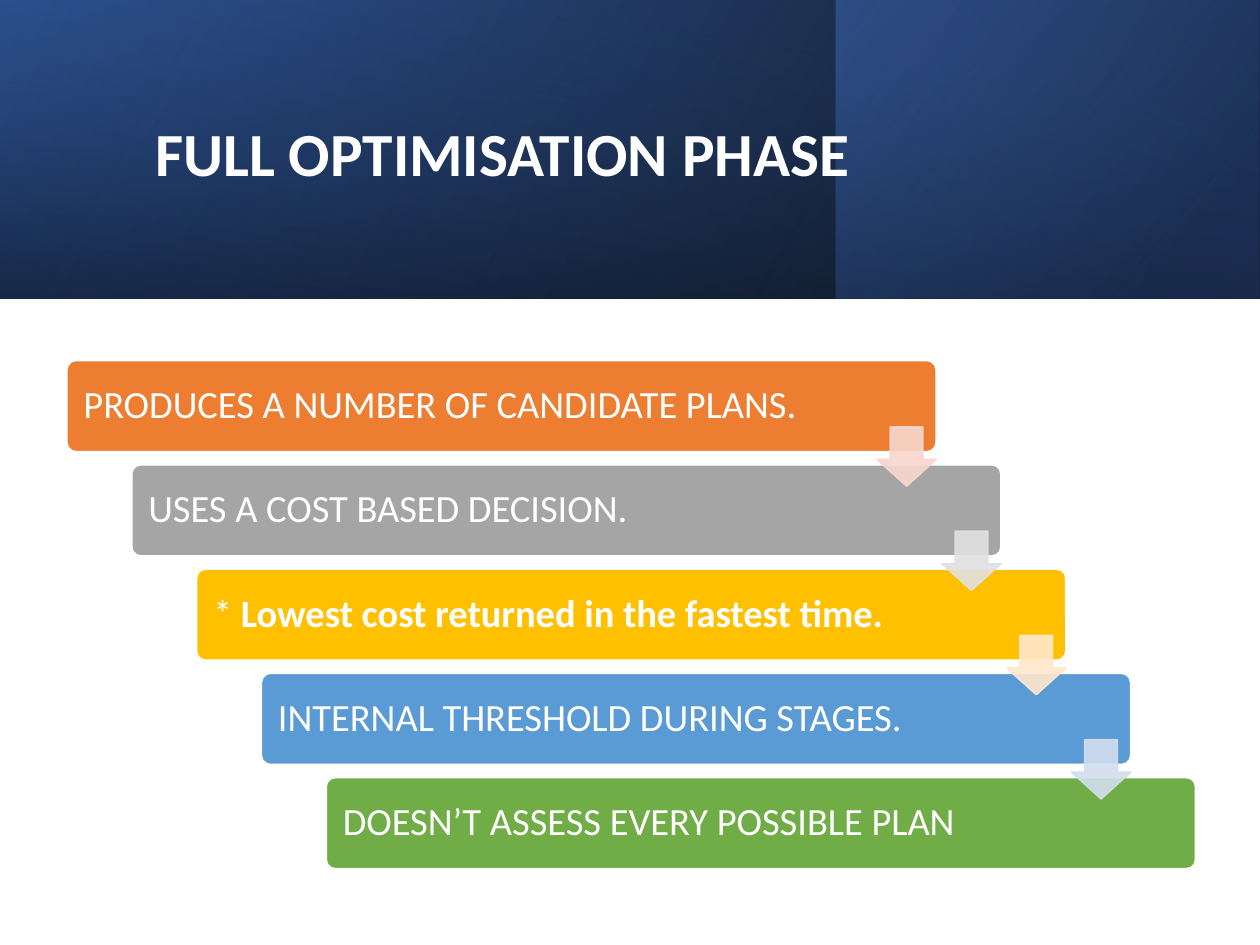
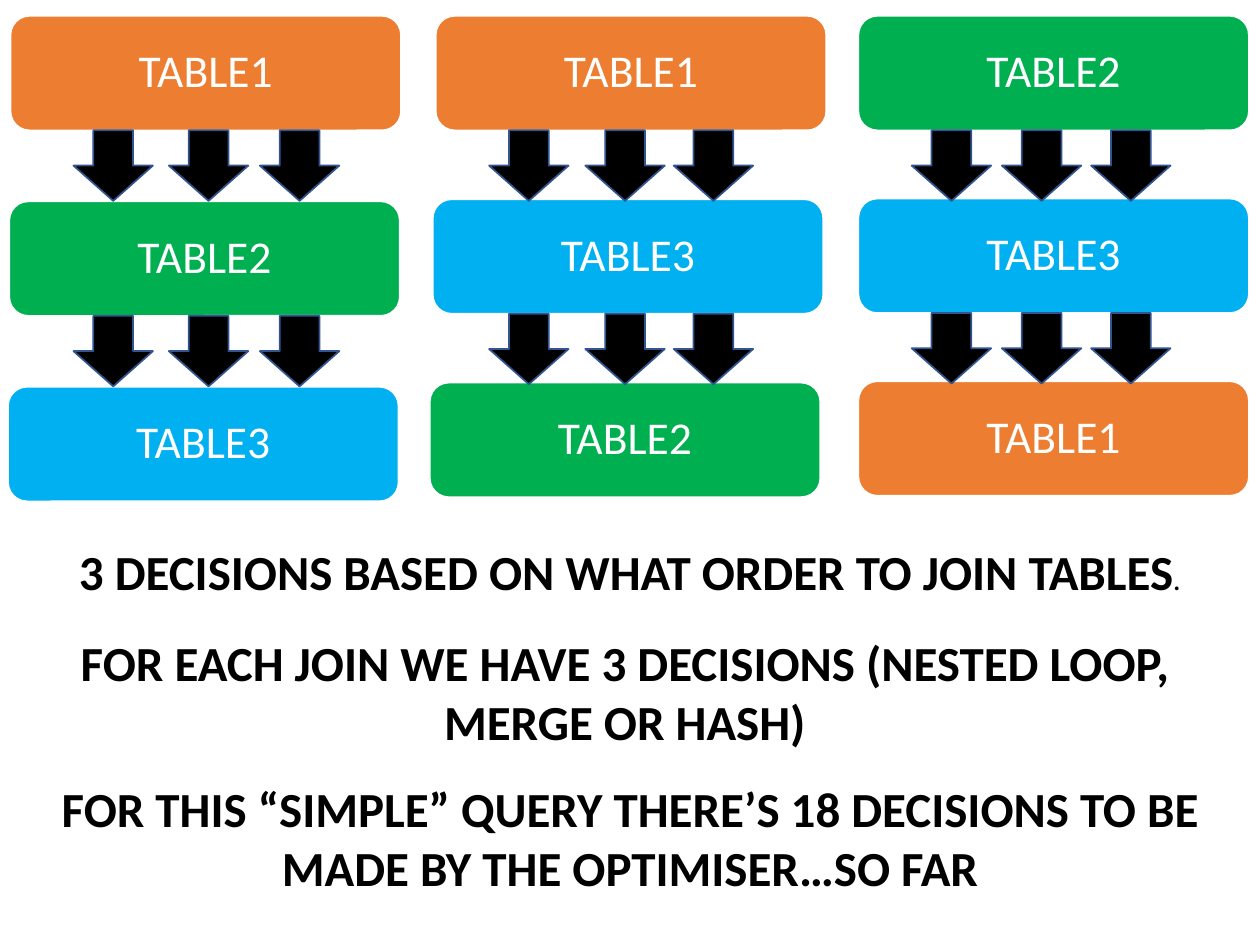
from lxml import etree
from pptx import Presentation
from pptx.dml.color import RGBColor
from pptx.enum import shapes, text
from pptx.oxml import ns
from pptx.util import Pt

PAGE_W, PAGE_H = 720, 540
FONT = "Calibri"

WHITE = RGBColor(0xFF, 0xFF, 0xFF)
BLACK = RGBColor(0x00, 0x00, 0x00)
NAVY = RGBColor(0x20, 0x38, 0x64)
DEEP_BLUE = RGBColor(0x2F, 0x55, 0x97)
MID_BLUE = RGBColor(0x44, 0x72, 0xC4)
ARROW_EDGE = RGBColor(0x32, 0x54, 0x91)
ORANGE = RGBColor(0xED, 0x7D, 0x31)
GREY = RGBColor(0xA5, 0xA5, 0xA5)
GOLD = RGBColor(0xFF, 0xC0, 0x00)
SKY = RGBColor(0x5B, 0x9B, 0xD5)
LEAF = RGBColor(0x70, 0xAD, 0x47)
PALE_ORANGE = RGBColor(0xF8, 0xD7, 0xCE)
PALE_GREY = RGBColor(0xE1, 0xE1, 0xE1)
PALE_GOLD = RGBColor(0xFF, 0xE8, 0xCC)
PALE_SKY = RGBColor(0xD2, 0xDE, 0xEF)
TABLE_COLOURS = {
    "TABLE1": ORANGE,
    "TABLE2": RGBColor(0x00, 0xB0, 0x50),
    "TABLE3": RGBColor(0x00, 0xB0, 0xF0),
}

# Each step: runs as (wording, bold), its colour, colour of the arrow below it
STEPS = [
    ([("PRODUCES A NUMBER OF CANDIDATE PLANS.", False)], ORANGE, PALE_ORANGE),
    ([("USES A COST BASED DECISION.", False)], GREY, PALE_GREY),
    ([("* ", False), ("Lowest cost returned in the fastest time.", True)],
     GOLD, PALE_GOLD),
    ([("INTERNAL THRESHOLD DURING STAGES.", False)], SKY, PALE_SKY),
    ([("DOESN’T ASSESS EVERY POSSIBLE PLAN", False)], LEAF, None),
]

# Each join order: tables, left, row pitch, sideways drift per row, arrow offsets
JOIN_ORDERS = [
    (("TABLE1", "TABLE2", "TABLE3"), 6, 106, -0.7, (36, 90.5, 142.5)),
    (("TABLE1", "TABLE3", "TABLE2"), 249, 104.8, -1.7, (30.5, 85.5, 136)),
    (("TABLE2", "TABLE3", "TABLE1"), 490.5, 104.4, 0, (30.5, 82, 133)),
]


def add_block(page, kind, box, fill, line=None):
    block = page.shapes.add_shape(kind, *(Pt(length) for length in box))
    block.shadow.inherit = False
    block.fill.solid()
    block.fill.fore_color.rgb = fill
    if line is None:
        block.line.fill.background()
    else:
        block.line.color.rgb = line
        block.line.width = Pt(1)
    return block


def set_alpha(colour, percent):
    etree.SubElement(colour, ns.qn("a:alpha"), val=str(percent * 1000))


def write_runs(frame, runs, size, colour, align=text.PP_ALIGN.LEFT, spacing=None):
    """Fill the first paragraph with (wording, bold) runs."""
    frame.word_wrap = True
    para = frame.paragraphs[0]
    para.alignment = align
    para.line_spacing = spacing
    para.font.name = FONT
    para.font.size = Pt(size)
    para.font.color.rgb = colour
    for wording, bold in runs:
        span = para.add_run()
        span.text = wording
        span.font.bold = bold
    return para


def add_gradient_band(page, box, angle, stops, rotation=0):
    """Mirrored rectangle; stops are (position, colour, opacity) in percent."""
    band = add_block(page, shapes.MSO_SHAPE.RECTANGLE, box, NAVY)
    band.rotation = rotation
    properties = band._element.spPr
    properties.xfrm.set("flipH", "1")
    gradient = etree.Element(ns.qn("a:gradFill"), rotWithShape="1")
    stop_list = etree.SubElement(gradient, ns.qn("a:gsLst"))
    for position, colour, opacity in stops:
        stop = etree.SubElement(stop_list, ns.qn("a:gs"), pos=str(position * 1000))
        value = etree.SubElement(stop, ns.qn("a:srgbClr"), val=str(colour))
        set_alpha(value, opacity)
    etree.SubElement(gradient, ns.qn("a:lin"), ang=str(angle * 60000), scaled="0")
    properties.replace(properties.find(ns.qn("a:solidFill")), gradient)


def add_header(page, title, height):
    add_gradient_band(page, (0, 0, PAGE_W, height), 330,
                      [(0, BLACK, 96), (100, DEEP_BLUE, 100)])
    add_gradient_band(page, (477.5, 0, 242, height), 320,
                      [(19, NAVY, 68), (100, MID_BLUE, 48)])
    shift = (PAGE_W - height) / 2
    add_gradient_band(page, (shift, -shift, height, PAGE_W), 350,
                      [(23, DEEP_BLUE, 16), (99, BLACK, 45)], rotation=270)

    heading = page.shapes.title
    page.shapes._spTree.append(heading._element)  # bring in front of the bands
    heading.left, heading.top = Pt(81.5), Pt(27.5)
    heading.width, heading.height = Pt(574), Pt(124)
    frame = heading.text_frame
    frame.auto_size = text.MSO_AUTO_SIZE.NONE
    frame.vertical_anchor = text.MSO_ANCHOR.MIDDLE
    write_runs(frame, [(title, True)], 35, WHITE, spacing=0.9)


def add_staircase(page, left, top, width, height):
    step_w, step_h, arrow_size = 496.8, 52.2, 33.8
    last = len(STEPS) - 1
    across, down = (width - step_w) / last, (height - step_h) / last
    corners = [(left + i * across, top + i * down) for i in range(len(STEPS))]

    for (x, y), (runs, colour, _) in zip(corners, STEPS):
        step = add_block(page, shapes.MSO_SHAPE.ROUNDED_RECTANGLE,
                         (x, y, step_w, step_h), colour, WHITE)
        step.adjustments[0] = 0.1
        frame = step.text_frame
        frame.margin_left = Pt(8)
        frame.vertical_anchor = text.MSO_ANCHOR.MIDDLE
        write_runs(frame, runs, 22, WHITE, spacing=0.9)

    for (x, y), (_, _, pale) in zip(corners[:-1], STEPS):
        arrow = add_block(page, shapes.MSO_SHAPE.DOWN_ARROW,
                          (x + 463, y + 38, arrow_size, arrow_size), pale, pale)
        arrow.adjustments[0] = 0.55
        arrow.adjustments[1] = 0.45
        for colour in arrow._element.spPr.findall(".//" + ns.qn("a:srgbClr")):
            set_alpha(colour, 90)


def add_join_order(page, left, top, tables, pitch, drift, arrow_offsets):
    """Column of tables with a row of arrows, one per join type, between them."""
    table_w, table_h, arrow_w, arrow_h = 223.2, 65.5, 45.4, 40.3
    for row, name in enumerate(tables):
        table = add_block(page, shapes.MSO_SHAPE.ROUNDED_RECTANGLE,
                          (left + row * drift, top + row * pitch, table_w, table_h),
                          TABLE_COLOURS[name], WHITE)
        table.text_frame.vertical_anchor = text.MSO_ANCHOR.MIDDLE
        write_runs(table.text_frame, [(name, False)], 26, WHITE,
                   text.PP_ALIGN.CENTER, 0.9)
    for row in range(len(tables) - 1):
        for offset in arrow_offsets:
            add_block(page, shapes.MSO_SHAPE.DOWN_ARROW,
                      (left + offset, top + row * pitch + table_h, arrow_w, arrow_h),
                      BLACK, ARROW_EDGE)


def add_statement(page, top, height, runs, width=PAGE_W):
    box = page.shapes.add_textbox(0, Pt(top), Pt(width), Pt(height))
    return write_runs(box.text_frame, runs, 28, BLACK, text.PP_ALIGN.CENTER)


def build_phase_page(deck):
    page = deck.slides.add_slide(deck.slide_layouts[5])
    add_header(page, "FULL OPTIMISATION PHASE", 170.7)
    add_staircase(page, 38.2, 206, 645, 290.5)


def build_join_page(deck):
    page = deck.slides.add_slide(deck.slide_layouts[6])
    for tables, left, pitch, drift, arrow_offsets in JOIN_ORDERS:
        add_join_order(page, left, 9, tables, pitch, drift, arrow_offsets)
    para = add_statement(page, 306, 41, [
        ("3 DECISIONS BASED ON WHAT ORDER TO JOIN TABLES", True), (".", False)])
    para.runs[-1].font.size = Pt(18)
    add_statement(page, 358, 75, [
        ("FOR EACH JOIN WE HAVE 3 DECISIONS (NESTED LOOP, MERGE OR HASH)", True)],
        width=714)
    add_statement(page, 441.4, 75, [
        ("FOR THIS “SIMPLE” QUERY THERE’S 18 DECISIONS TO BE MADE BY THE "
         "OPTIMISER…SO FAR", True)])


def main():
    deck = Presentation()
    deck.slide_width, deck.slide_height = Pt(PAGE_W), Pt(PAGE_H)
    build_phase_page(deck)
    build_join_page(deck)
    deck.save("out.pptx")


if __name__ == "__main__":
    main()
